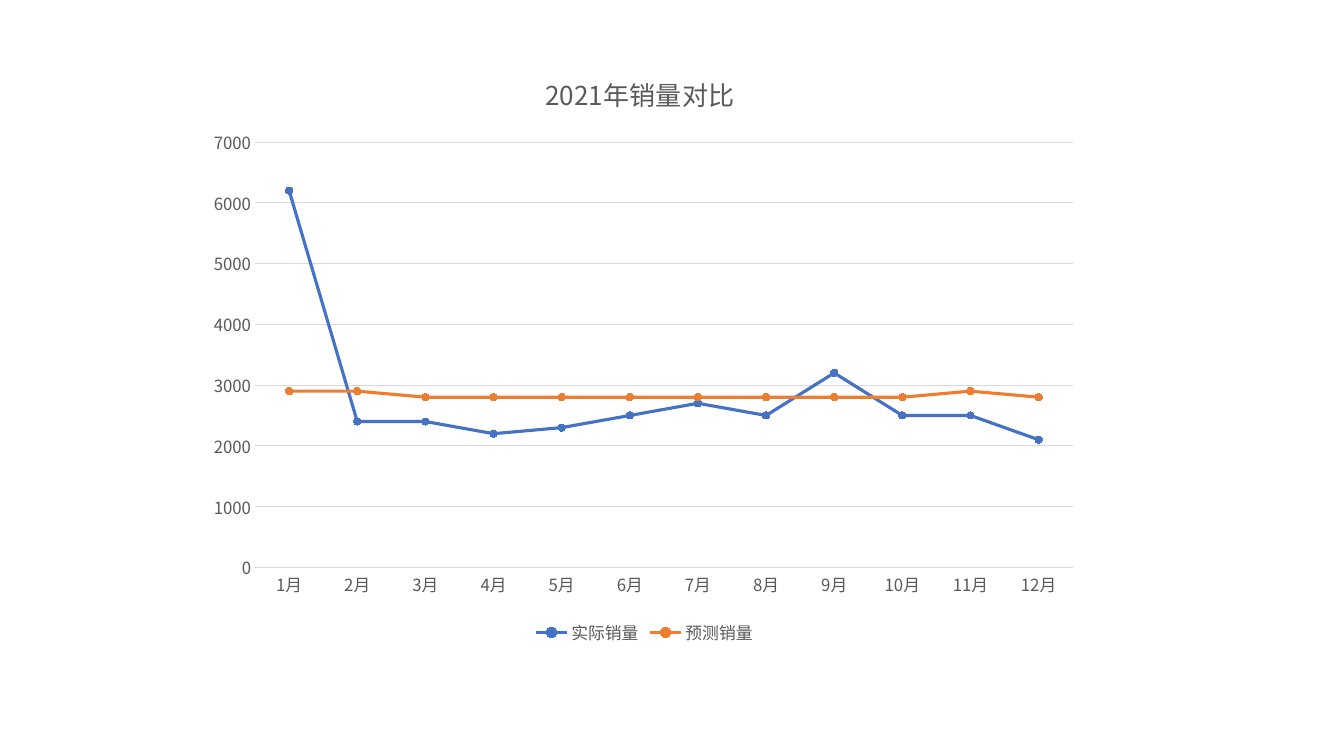
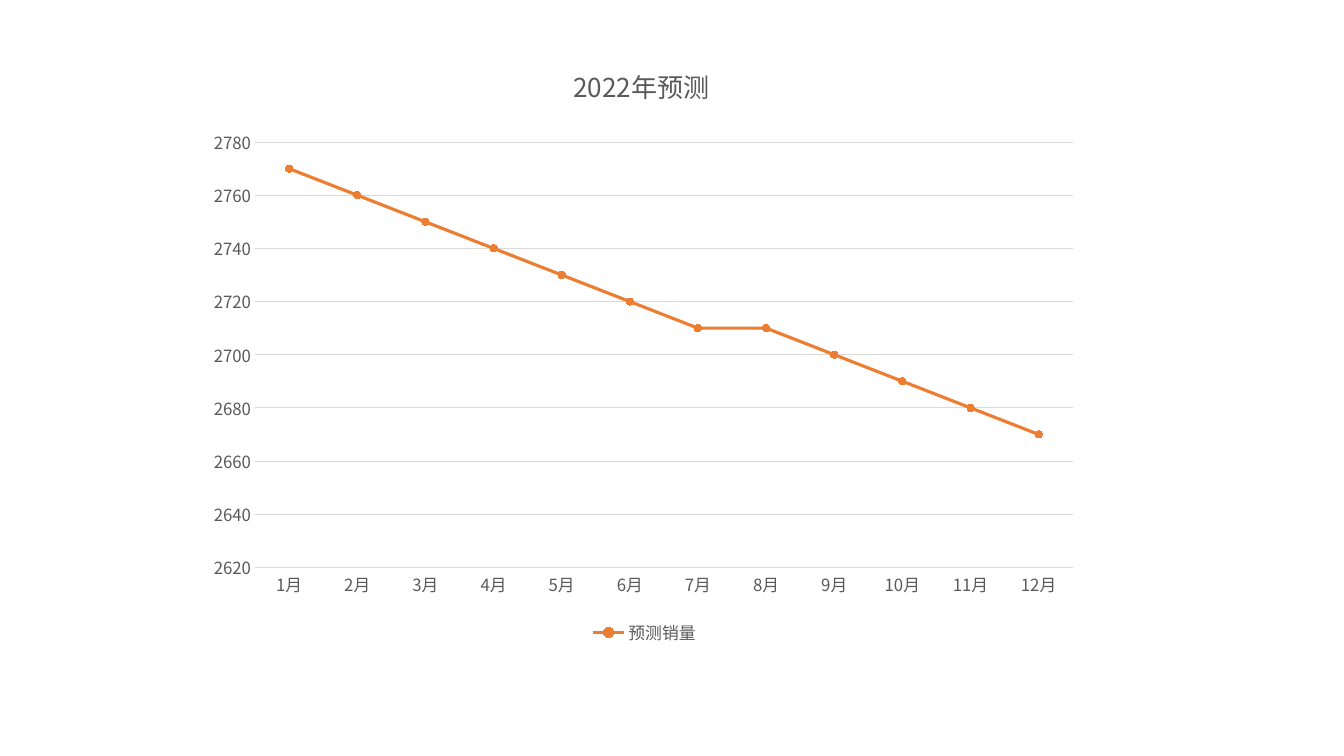
"""Two slides of monthly sales line charts: 2021 comparison and 2022 forecast."""
from pptx import Presentation
from pptx.chart.data import CategoryChartData
from pptx.dml.color import RGBColor
from pptx.enum.chart import XL_CHART_TYPE as CT, XL_LEGEND_POSITION as LP
from pptx.enum.chart import XL_MARKER_STYLE as MS, XL_TICK_MARK as TM
from pptx.oxml import parse_xml
from pptx.oxml.ns import nsdecls, qn
from pptx.util import Inches, Pt

COLORS = {"text": "595959", "grid": "D9D9D9", "实际销量": "4472C4", "预测销量": "ED7D31"}
FONT = "Noto Sans CJK SC"
MONTHS = [f"{m}月" for m in range(1, 13)]
CHART_W, CHART_H = Inches(8.88), Inches(5.92)
PLOT = {"x": Inches(0.58), "y": Inches(0.89), "w": Inches(8.11), "h": Inches(4.22)}
CHARTS = [
    {"title": "2021年销量对比", "title_at": {"x": Inches(3.41), "y": Inches(0.15)},
     "scale": (0, 7000, 1000),
     "series": {
         "实际销量": [6200, 2400, 2400, 2200, 2300, 2500, 2700, 2500, 3200, 2500, 2500, 2100],
         "预测销量": [2900, 2900, 2800, 2800, 2800, 2800, 2800, 2800, 2800, 2800, 2900, 2800]}},
    {"title": "2022年预测", "title_at": {"x": Inches(3.69), "y": Inches(0.07)},
     "scale": (2620, 2780, 20),
     "series": {
         "预测销量": [2770, 2760, 2750, 2740, 2730, 2720, 2710, 2710, 2700, 2690, 2680, 2670]}},
]


def style_font(font, size):
    font.name, font.size, font.bold = FONT, Pt(size), False
    font.color.rgb = RGBColor.from_string(COLORS["text"])
    rPr = font._element
    if rPr.find(qn("a:ea")) is None:
        rPr.find(qn("a:latin")).addnext(parse_xml(f'<a:ea {nsdecls("a")} typeface="{FONT}"/>'))


def set_layout(parent, after, box, target=""):
    for old in parent.findall(qn("c:layout")):
        parent.remove(old)
    modes = "".join(f'<c:{k}Mode val="edge"/>' for k in "xy")
    values = "".join(f'<c:{k} val="{v / (CHART_W if k in "xw" else CHART_H):.4f}"/>'
                     for k, v in box.items())
    layout = parse_xml(f'<c:layout {nsdecls("c")}><c:manualLayout>{target}{modes}{values}'
                       '</c:manualLayout></c:layout>')
    if after is None:
        parent.insert(0, layout)
    else:
        after.addnext(layout)


prs = Presentation()
prs.slide_width, prs.slide_height = Inches(13.33), Inches(7.5)

for item in CHARTS:
    s = prs.slides.add_slide(prs.slide_layouts[6])
    data = CategoryChartData()
    data.categories = MONTHS
    for name, values in item["series"].items():
        data.add_series(name, values)
    chart = s.shapes.add_chart(CT.LINE_MARKERS, Inches(1.95), Inches(0.52),
                               CHART_W, CHART_H, data).chart
    style_font(chart.font, 12)

    chart.has_title = True
    title = chart.chart_title
    r = title.text_frame.paragraphs[0].add_run()
    r.text = item["title"]
    style_font(r.font, 18.6)
    title.include_in_layout = False
    set_layout(title._element, title._element.find(qn("c:tx")), item["title_at"])

    chart.has_legend = True
    chart.legend.position = LP.BOTTOM
    chart.legend.include_in_layout = False
    style_font(chart.legend.font, 12)

    for axis in (chart.category_axis, chart.value_axis):
        axis.major_tick_mark = axis.minor_tick_mark = TM.NONE
        style_font(axis.tick_labels.font, 12)
    values_axis = chart.value_axis
    values_axis.minimum_scale, values_axis.maximum_scale, values_axis.major_unit = item["scale"]
    values_axis.format.line.fill.background()
    for line in (chart.category_axis.format.line, values_axis.major_gridlines.format.line):
        line.color.rgb = RGBColor.from_string(COLORS["grid"])
        line.width = Pt(0.75)

    plot = chart.plots[0]
    plot.vary_by_categories = False
    for series in plot.series:
        color = RGBColor.from_string(COLORS[series.name])
        series.smooth = False
        series.format.line.color.rgb = color
        series.format.line.width = Pt(2.25)
        marker = series.marker
        marker.style, marker.size = MS.CIRCLE, 5
        marker.format.fill.solid()
        marker.format.fill.fore_color.rgb = color
        marker.format.line.color.rgb = color
    set_layout(chart._chartSpace.chart.plotArea, None, PLOT, '<c:layoutTarget val="inner"/>')

prs.save("out.pptx")
